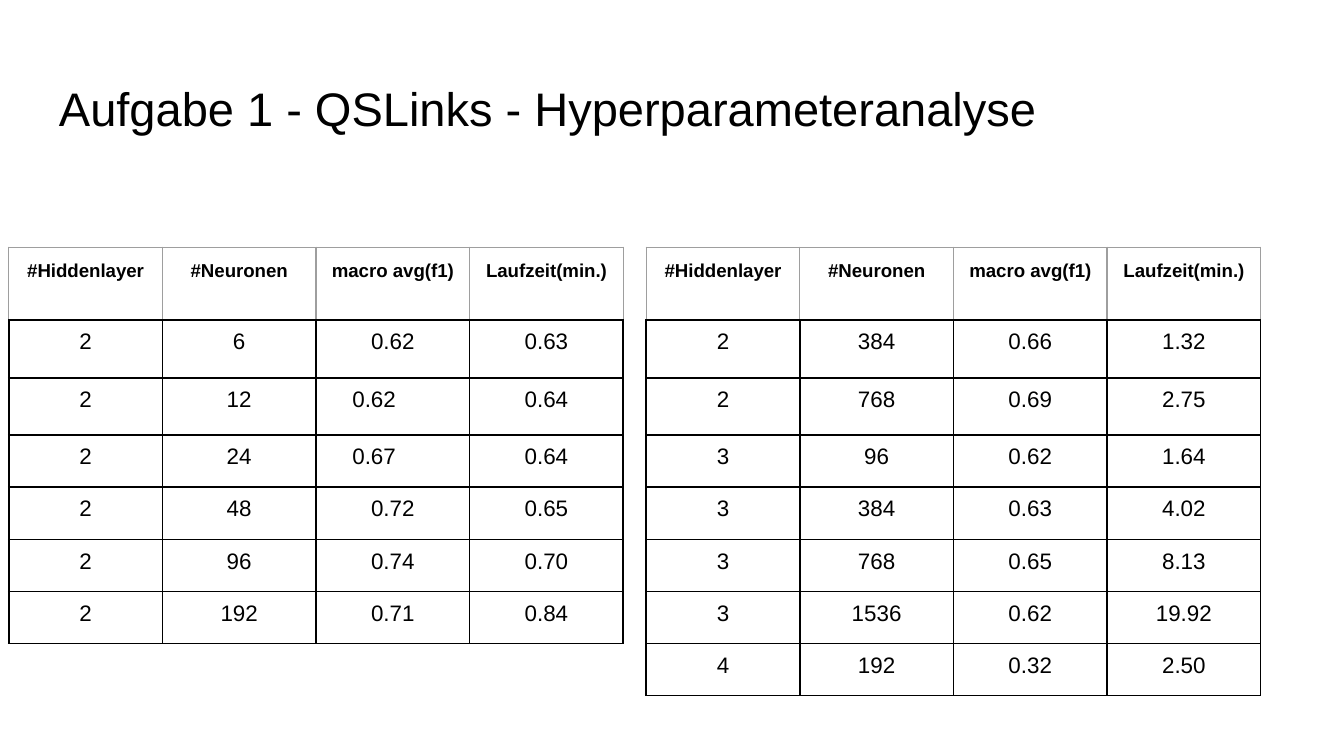
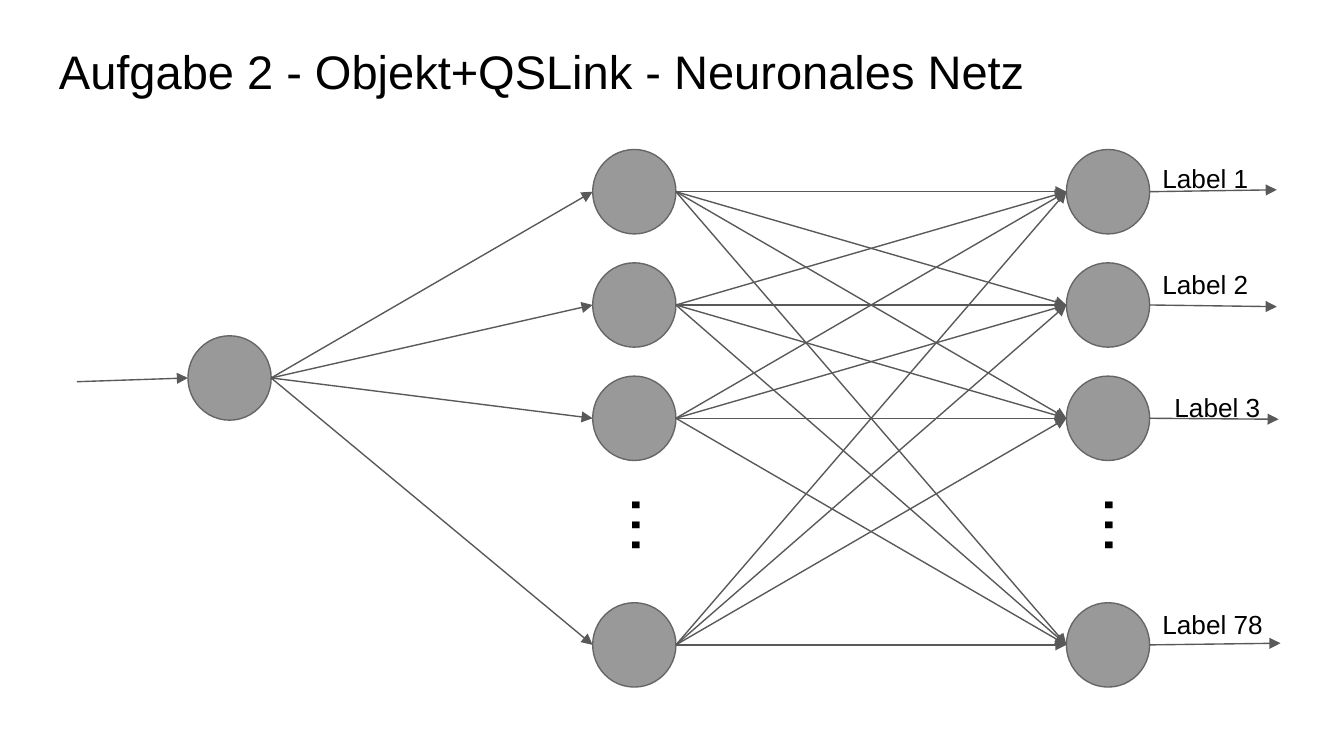
from dataclasses import dataclass
from itertools import product

from lxml import etree
from pptx import Presentation
from pptx import util as u
from pptx.dml import color
from pptx.enum import shapes, text
from pptx.oxml import ns

Pt = u.Pt


@dataclass(frozen=True)
class Theme:
    font: str = "Arial"
    ink: str = "000000"
    node: str = "999999"
    node_line: str = "666666"
    arrow: str = "595959"
    head_border: str = "9E9E9E"
    title: float = 25.2
    head: float = 10
    body: float = 12
    label: float = 14
    dots: float = 38
    thin: float = 0.75
    grid: float = 1


T = Theme()
NODE_W, NODE_H = 44.6, 45.2
HEADERS = ["#Hiddenlayer", "#Neuronen", "macro avg(f1)", "Laufzeit(min.)"]
SMALL_NETS = [
    ["2", "6", "0.62", "0.63"],
    ["2", "12", "0.62", "0.64"],
    ["2", "24", "0.67", "0.64"],
    ["2", "48", "0.72", "0.65"],
    ["2", "96", "0.74", "0.70"],
    ["2", "192", "0.71", "0.84"],
]
LARGE_NETS = [
    ["2", "384", "0.66", "1.32"],
    ["2", "768", "0.69", "2.75"],
    ["3", "96", "0.62", "1.64"],
    ["3", "384", "0.63", "4.02"],
    ["3", "768", "0.65", "8.13"],
    ["3", "1536", "0.62", "19.92"],
    ["4", "192", "0.32", "2.50"],
]


def rgb(value):
    return color.RGBColor.from_string(value)


def apply(obj, values):
    for name, value in values.items():
        setattr(obj, name, value)


def margins(obj, size):
    apply(obj, {f"margin_{side}": Pt(size) for side in ("left", "right", "top", "bottom")})


def write(tf, content, size, bold=False, align=text.PP_ALIGN.LEFT):
    p = tf.paragraphs[0]
    p.alignment = align
    r = p.add_run()
    r.text = content
    apply(r.font, {"name": T.font, "size": Pt(size), "bold": bold})
    r.font.color.rgb = rgb(T.ink)


def add_text(s, box, content, size, anchor=text.MSO_ANCHOR.TOP):
    sp = s.shapes.add_textbox(*map(Pt, box))
    tf = sp.text_frame
    apply(tf, {"word_wrap": True, "vertical_anchor": anchor})
    margins(tf, 7.2)
    write(tf, content, size)
    return sp


def add_title(s, top, content):
    add_text(s, (24.5, top, 671, 45.1), content, T.title)


def set_borders(cell, borders):
    tc_pr = cell._tc.get_or_add_tcPr()
    for i, side in enumerate("LRTB"):
        value, width = borders[side]
        ln = etree.Element(ns.qn(f"a:ln{side}"), w=str(Pt(width)))
        fill = etree.SubElement(ln, ns.qn("a:solidFill"))
        etree.SubElement(fill, ns.qn("a:srgbClr"), val=value)
        tc_pr.insert(i, ln)


def add_results(s, left, rows, shifted=()):
    heights = [39.1, 30.8, 30.8] + [27.9] * (len(rows) - 2)
    col_w = 82.3
    frame = s.shapes.add_table(len(heights), len(HEADERS), Pt(left), Pt(132.5),
                               Pt(col_w * len(HEADERS)), Pt(sum(heights)))
    tbl = frame.table
    apply(tbl, {"first_row": False, "horz_banding": False})
    for col in tbl.columns:
        col.width = Pt(col_w)
    for row, height in zip(tbl.rows, heights):
        row.height = Pt(height)
    black, grey = (T.ink, T.grid), (T.head_border, T.thin)
    for i, values in enumerate([HEADERS] + rows):
        head = i == 0
        borders = dict.fromkeys("LRT", grey if head else black) | {"B": black}
        for j, value in enumerate(values):
            cell = tbl.cell(i, j)
            margins(cell, 7.2 if head else 5)
            if (i, j) in shifted:
                cell.margin_right = Pt(25)
            write(cell.text_frame, value, T.head if head else T.body, head, text.PP_ALIGN.CENTER)
            cell.fill.background()
            set_borders(cell, borders)


def add_node(s, x, y):
    sp = s.shapes.add_shape(shapes.MSO_SHAPE.OVAL, Pt(x - NODE_W / 2), Pt(y - NODE_H / 2),
                            Pt(NODE_W), Pt(NODE_H))
    sp.shadow.inherit = False
    sp.fill.solid()
    sp.fill.fore_color.rgb = rgb(T.node)
    sp.line.color.rgb = rgb(T.node_line)
    sp.line.width = Pt(T.thin)
    return x, y


def add_layer(s, x):
    nodes = [add_node(s, x, 102.7 + 60.7 * i) for i in (0, 1, 2, 4)]
    dots = add_text(s, (x + 11.5, 231.1, 51.8, 106.6), "...", T.dots, text.MSO_ANCHOR.BOTTOM)
    dots.rotation = 90
    return nodes


def inlet(node):
    x, y = node
    return x - NODE_W / 2, y


def outlet(node):
    x, y = node
    return x + NODE_W / 2, y


def add_arrow(s, start, end):
    cx = s.shapes.add_connector(shapes.MSO_CONNECTOR.STRAIGHT, *map(Pt, (*start, *end)))
    cx.line.color.rgb = rgb(T.arrow)
    cx.line.width = Pt(T.thin)
    etree.SubElement(cx.line._get_or_add_ln(), ns.qn("a:tailEnd"), type="triangle")
    etree.SubElement(cx._element.spPr, ns.qn("a:effectLst"))


def build_analysis(s):
    add_title(s, 35.4, "Aufgabe 1 - QSLinks - Hyperparameteranalyse")
    add_results(s, 4.7, SMALL_NETS, shifted={(2, 2), (3, 2)})
    add_results(s, 346.2, LARGE_NETS)


def build_network(s):
    add_title(s, 15.4, "Aufgabe 2 - Objekt+QSLink - Neuronales Netz")
    source = add_node(s, 123, 202.5)
    hidden = add_layer(s, 339.8)
    output = add_layer(s, 593.6)
    for a, b in [*product([source], hidden), *product(hidden, output)]:
        add_arrow(s, outlet(a), inlet(b))
    add_arrow(s, (41.2, 204.5), inlet(source))
    labels = [
        ("Label 1", 615.6, 79.9, (684, 101.7)),
        ("Label 2", 615.6, 136.5, (684, 164.3)),
        ("Label 3", 622.1, 202.3, (685, 224.6)),
        ("Label 78", 615.6, 319, (686, 344.6)),
    ]
    for node, (name, left, top, end) in zip(output, labels):
        add_arrow(s, outlet(node), end)
        add_text(s, (left, top, 93, 31.7), name, T.label)


def main():
    prs = Presentation()
    apply(prs, {"slide_width": Pt(720), "slide_height": Pt(405)})
    for build in (build_analysis, build_network):
        build(prs.slides.add_slide(prs.slide_layouts[6]))
    prs.save("out.pptx")


if __name__ == "__main__":
    main()
